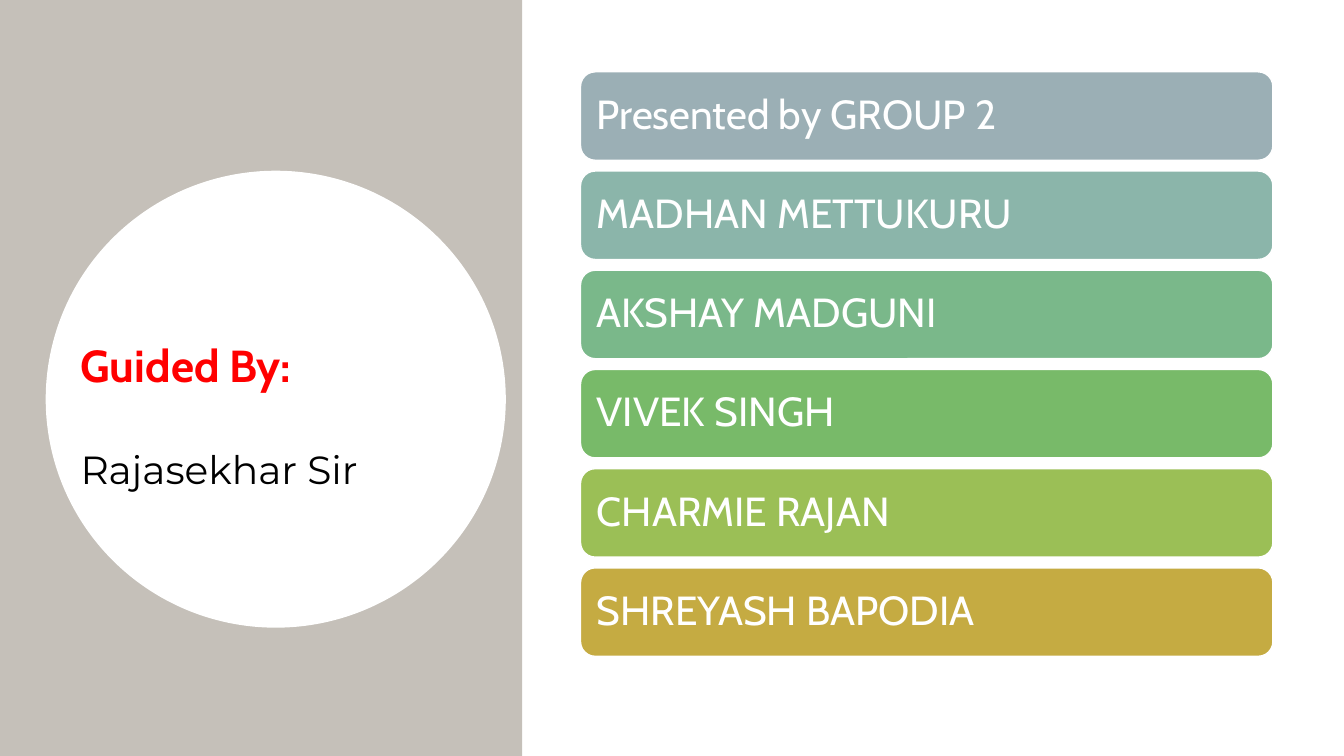
import pptx
import pptx.util
import pptx.dml.color
import pptx.enum.shapes
import pptx.enum.text

Cm = pptx.util.Cm
Pt = pptx.util.Pt
MSO = pptx.enum.shapes.MSO_SHAPE


def color(value):
    return pptx.dml.color.RGBColor.from_string(value)


def add_block(s, kind, left, top, width, height, fill, line=None):
    sp = s.shapes.add_shape(kind, Cm(left), Cm(top), Cm(width), Cm(height))
    sp.shadow.inherit = False
    sp.fill.solid()
    sp.fill.fore_color.rgb = color(fill)
    if line:
        sp.line.color.rgb = color(line)
        sp.line.width = Pt(1)
    else:
        sp.line.fill.background()
    return sp


prs = pptx.Presentation()
prs.slide_width = Cm(33.87)
prs.slide_height = Cm(19.05)
s = prs.slides.add_slide(prs.slide_layouts[6])

add_block(s, MSO.RECTANGLE, 0, 0, 13.16, 19.05, "C5C0B9")
add_block(s, MSO.RECTANGLE, 13.2, 0, 20.67, 19.05, "FFFFFF")

members = [
    ("Presented by GROUP 2", "9BAFB5"),
    ("MADHAN METTUKURU", "8BB5AA"),
    ("AKSHAY MADGUNI", "7AB88A"),
    ("VIVEK SINGH", "78BA69"),
    ("CHARMIE RAJAN", "9BBF56"),
    ("SHREYASH BAPODIA", "C5AB42"),
]
for i, (name, fill) in enumerate(members):
    sp = add_block(s, MSO.ROUNDED_RECTANGLE, 14.63, 1.81 + 2.5 * i, 17.45, 2.23, fill, "FFFFFF")
    sp.adjustments[0] = 0.167
    tf = sp.text_frame
    tf.word_wrap = True
    tf.vertical_anchor = pptx.enum.text.MSO_ANCHOR.MIDDLE
    tf.margin_left = tf.margin_right = tf.margin_top = tf.margin_bottom = Cm(0.3)
    p = tf.paragraphs[0]
    p.text = name
    p.alignment = pptx.enum.text.PP_ALIGN.LEFT
    p.line_spacing = 0.9
    p.font.name = "Cabin"
    p.font.size = Pt(29)
    p.font.color.rgb = color("FFFFFF")

add_block(s, MSO.OVAL, 1.17, 4.32, 11.56, 11.48, "FFFFFF", "FFFFFF")

tf = s.shapes.add_textbox(Cm(1.78), Cm(8.38), Cm(9.86), Cm(4.19)).text_frame
tf.word_wrap = True
guide = [
    ("Guided By:", "Cabin", 32, "FF0000", True),
    ("Rajasekhar Sir", "Montserrat", 28, "000000", False),
]
for i, (text, font, size, ink, bold) in enumerate(guide):
    p = tf.add_paragraph() if i else tf.paragraphs[0]
    p.text = text
    if i:
        p.space_before = Pt(38.5)
    p.font.name = font
    p.font.size = Pt(size)
    p.font.bold = bold
    p.font.color.rgb = color(ink)

prs.save("out.pptx")
